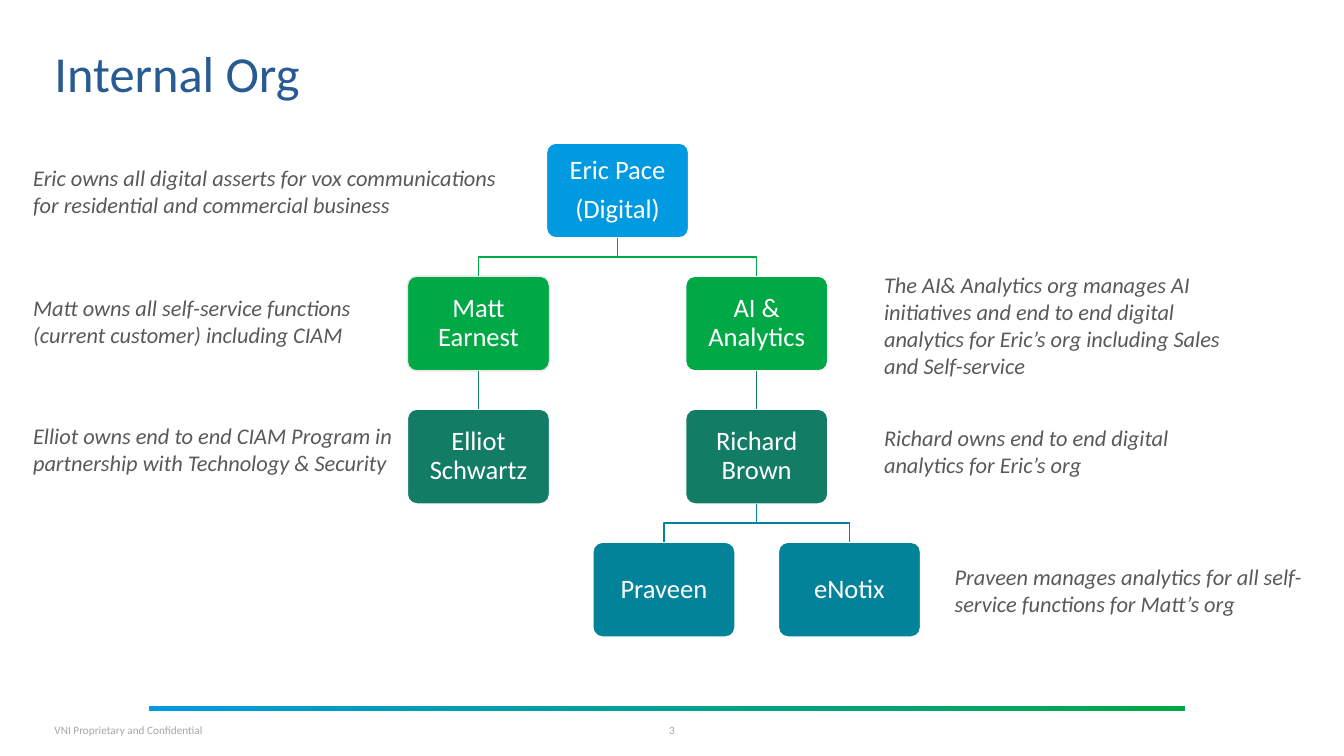
from collections import namedtuple

from pptx import Presentation
from pptx.dml.color import RGBColor
from pptx.enum.shapes import MSO_CONNECTOR as Link, MSO_SHAPE as Preset
from pptx.enum.text import MSO_ANCHOR as Anchor, MSO_AUTO_SIZE as AutoSize, PP_ALIGN as Align
from pptx.oxml.ns import qn
from pptx.util import Pt

PX = 9144
FONT = "Calibri"
Box = namedtuple("Box", "left top width height")
Member = namedtuple("Member", "text parent level offset outline")

NODE_WIDTH, NODE_HEIGHT, LEVEL_STEP = 141, 94, 132
LEVEL_COLORS = ["009AE0", "00A846", "127C65", "028399"]

ORG = {
    "eric": Member("Eric Pace\n(Digital)", None, 0, 0, "FFFFFF"),
    "matt": Member("Matt Earnest", "eric", 1, -138, "E7E7E7"),
    "analytics": Member("AI & Analytics", "eric", 1, 138, "FFFFFF"),
    "elliot": Member("Elliot Schwartz", "matt", 2, 0, "FFFFFF"),
    "richard": Member("Richard Brown", "analytics", 2, 0, "FFFFFF"),
    "praveen": Member("Praveen", "richard", 3, -92, "FFFFFF"),
    "vendor": Member("eNotix", "richard", 3, 92, "FFFFFF"),
}

NOTES = [
    (Box(23, 158, 496, 64),
     "Eric owns all digital asserts for vox communications for residential and commercial business"),
    (Box(23, 287, 383, 64),
     "Matt owns all self-service functions (current customer) including CIAM"),
    (Box(23, 414, 383, 64),
     "Elliot owns end to end CIAM Program in partnership with Technology & Security"),
    (Box(867, 264, 383, 118),
     "The AI& Analytics org manages AI initiatives and end to end digital analytics "
     "for Eric’s org including Sales and Self-service"),
    (Box(867, 416, 383, 64),
     "Richard owns end to end digital analytics for Eric’s org"),
    (Box(937, 554, 383, 64),
     "Praveen manages analytics for all self-service functions for Matt’s org"),
]


def emu(box):
    return [length * PX for length in box]


def rgb(color):
    return RGBColor.from_string(color)


def write(shape, text, size, color, insets=(0, 0, 0, 0), align=Align.LEFT,
          anchor=Anchor.MIDDLE, spacing=1.0, after=0, italic=False):
    frame = shape.text_frame
    frame.word_wrap = True
    frame.vertical_anchor = anchor
    (frame.margin_left, frame.margin_top,
     frame.margin_right, frame.margin_bottom) = emu(insets)
    frame.text = text
    for paragraph in frame.paragraphs:
        paragraph.alignment = align
        paragraph.line_spacing = spacing
        paragraph.space_after = Pt(after)
        for run in paragraph.runs:
            run.font.name = FONT
            run.font.size = Pt(size)
            run.font.italic = italic
            run.font.color.rgb = rgb(color)


def draw_title(slide, box):
    title = slide.shapes.add_textbox(*emu(box))
    write(title, "Internal Org", 36, "285A93", insets=(0, 20, 0, 0), spacing=0.8)


def draw_footer(slide, box):
    rule = slide.shapes.add_shape(
        Preset.RECTANGLE, *emu((box.left + 94, box.top, 1027, 5)))
    rule.shadow.inherit = False
    rule.line.fill.background()
    rule.fill.gradient()
    rule.fill.gradient_angle = 0
    for stop, color in zip(rule.fill.gradient_stops, ("009AE0", "00A846")):
        stop.color.rgb = rgb(color)
    for left, width, text, align in (
            (0, 161, "VNI Proprietary and Confidential", Align.LEFT),
            (594, 37, "3", Align.CENTER)):
        label = slide.shapes.add_textbox(
            *emu((box.left + left, box.top + 13, width, 23)))
        write(label, text, 8, "A6A6A6", align=align)


def draw_node(slide, box, text, fill, outline):
    node = slide.shapes.add_shape(Preset.ROUNDED_RECTANGLE, *emu(box))
    node.adjustments[0] = 0.1
    node.shadow.inherit = False
    node.fill.solid()
    node.fill.fore_color.rgb = rgb(fill)
    node.line.color.rgb = rgb(outline)
    node.line.width = Pt(1)
    write(node, text, 19, "FFFFFF", insets=(8, 8, 8, 8),
          align=Align.CENTER, spacing=0.9, after=7)
    return node


def draw_link(slide, parent, child, color):
    start_x, end_x = (node.left + node.width // 2 for node in (parent, child))
    start_y, end_y = parent.top + parent.height, child.top
    if start_x == end_x:
        link = slide.shapes.add_connector(Link.STRAIGHT, start_x, start_y, end_x, end_y)
        link.begin_connect(parent, 2)
        link.end_connect(child, 0)
        properties = link._element.spPr
        properties.append(properties.makeelement(qn("a:effectLst"), {}))
    else:
        middle_y = (start_y + end_y) // 2
        elbow = slide.shapes.build_freeform(start_x, start_y)
        elbow.add_line_segments(
            [(start_x, middle_y), (end_x, middle_y), (end_x, end_y)], close=False)
        link = elbow.convert_to_shape()
        link.fill.background()
        link.shadow.inherit = False
    link.line.color.rgb = rgb(color)
    link.line.width = Pt(1)


def draw_org(slide, box):
    lefts, nodes = {}, {}
    root_left = box.left + (box.width - NODE_WIDTH) // 2
    for name, member in ORG.items():
        color = LEVEL_COLORS[member.level]
        lefts[name] = lefts.get(member.parent, root_left) + member.offset
        place = Box(lefts[name], box.top + member.level * LEVEL_STEP,
                    NODE_WIDTH, NODE_HEIGHT)
        nodes[name] = draw_node(slide, place, member.text, color, member.outline)
        if member.parent:
            draw_link(slide, nodes[member.parent], nodes[name], color)


def draw_note(slide, box, text):
    note = slide.shapes.add_textbox(*emu(box))
    write(note, text, 16, "595959", insets=(10, 5, 10, 5),
          anchor=Anchor.TOP, italic=True)
    note.text_frame.auto_size = AutoSize.SHAPE_TO_FIT_TEXT


def main():
    deck = Presentation()
    deck.slide_width, deck.slide_height = emu((1333, 750))
    slide = deck.slides.add_slide(deck.slide_layouts[6])
    draw_footer(slide, Box(54, 700, 1225, 36))
    draw_title(slide, Box(54, 18, 1225, 98))
    draw_org(slide, Box(404, 142, 417, 490))
    for box, text in NOTES:
        draw_note(slide, box, text)
    deck.save("out.pptx")


if __name__ == "__main__":
    main()
